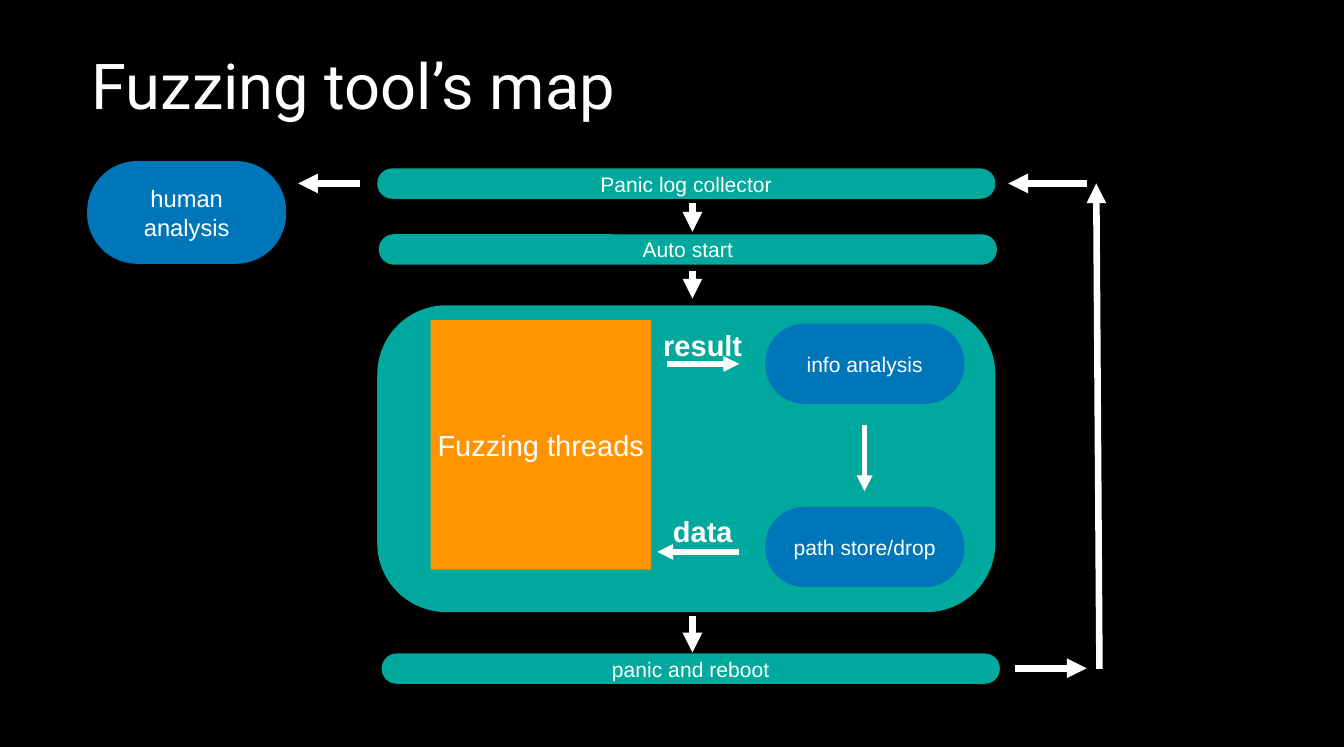
from typing import NamedTuple

from lxml import etree
from pptx import Presentation
from pptx.dml.color import RGBColor
from pptx.enum import shapes, text
from pptx.oxml import ns
from pptx.util import Pt

COLORS = {"black": "000000", "white": "FFFFFF", "teal": "00A89D",
          "blue": "0076BA", "orange": "FF9300"}
PILL = 0.489  # corner ratio of the pill-shaped boxes


class Box(NamedTuple):
    label: str
    x: float
    y: float
    w: float
    h: float
    color: str
    size: float = 8
    corner: float = PILL


class Arrow(NamedTuple):
    x1: float
    y1: float
    x2: float
    y2: float
    width: float = 2.5


def rgb(name: str) -> RGBColor:
    return RGBColor.from_string(COLORS[name])


def write(sp, words: str, *, size: float, font: str = "Arial", bold: bool = False,
          align=text.PP_ALIGN.CENTER, wrap: bool = True) -> None:
    tf = sp.text_frame
    tf.word_wrap = wrap
    tf.auto_size = text.MSO_AUTO_SIZE.NONE
    tf.vertical_anchor = text.MSO_ANCHOR.MIDDLE
    tf.margin_left = tf.margin_right = Pt(2)
    tf.margin_top = tf.margin_bottom = Pt(1.5)
    p = tf.paragraphs[0]
    p.alignment = align
    r = p.add_run()
    r.text = words
    r.font.name, r.font.size, r.font.bold = font, Pt(size), bold
    r.font.color.rgb = rgb("white")


def draw_box(s, box: Box) -> None:
    kind = shapes.MSO_SHAPE.ROUNDED_RECTANGLE if box.corner else shapes.MSO_SHAPE.RECTANGLE
    sp = s.shapes.add_shape(kind, Pt(box.x), Pt(box.y), Pt(box.w), Pt(box.h))
    if box.corner:
        sp.adjustments[0] = box.corner
    sp.shadow.inherit = False
    sp.fill.solid()
    sp.fill.fore_color.rgb = rgb(box.color)
    sp.line.fill.background()
    if box.label:
        write(sp, box.label, size=box.size)


def draw_arrow(s, a: Arrow) -> None:
    c = s.shapes.add_connector(shapes.MSO_CONNECTOR.STRAIGHT,
                               Pt(a.x1), Pt(a.y1), Pt(a.x2), Pt(a.y2))
    c.line.width = Pt(a.width)
    c.line.color.rgb = rgb("white")
    etree.SubElement(c.line._get_or_add_ln(), ns.qn("a:tailEnd"), type="triangle")
    etree.SubElement(c._element.spPr, ns.qn("a:effectLst"))


prs = Presentation()
prs.slide_width, prs.slide_height = Pt(510.5), Pt(283.7)
s = prs.slides.add_slide(prs.slide_layouts[5])
s.background.fill.solid()
s.background.fill.fore_color.rgb = rgb("black")

# Title
title = s.shapes.title
title.left, title.top, title.width, title.height = Pt(32.8), Pt(15.8), Pt(206), Pt(32.4)
write(title, "Fuzzing tool’s map", size=24, font="Roboto",
      align=text.PP_ALIGN.LEFT, wrap=False)

# Stages of the loop, with the fuzzer in the large panel
BAR_W, BAR_H = 234.8, 11.5
PILL_X, PILL_W, PILL_H = 290.7, 75.6, 30.5
BOXES = [
    Box("human analysis", 33.1, 61.2, PILL_W, 39, "blue", 9),
    Box("Panic log collector", 143.3, 64, BAR_W, BAR_H, "teal"),
    Box("Auto start", 143.9, 89, BAR_W, BAR_H, "teal"),
    Box("", 143.3, 116, BAR_W, 116.5, "teal", corner=0.225),
    Box("Fuzzing threads", 163.6, 121.6, 83.8, 94.7, "orange", 11, 0),
    Box("info analysis", PILL_X, 122.9, PILL_W, PILL_H, "blue"),
    Box("path store/drop", PILL_X, 192.5, PILL_W, PILL_H, "blue"),
    Box("panic and reboot", 145, 248.2, BAR_W, BAR_H, "teal"),
]
for box in BOXES:
    draw_box(s, box)

# Flow between the stages
MID_X, TOP_Y, BOTTOM_Y, TURN_X = 263, 69.7, 253.8, 412.7
ARROWS = [
    Arrow(MID_X, 77.3, MID_X, 88),
    Arrow(MID_X, 102.9, MID_X, 113.4),
    Arrow(MID_X, 234, MID_X, 247.8),
    Arrow(385.4, BOTTOM_Y, TURN_X, BOTTOM_Y),
    Arrow(417.6, 254, 416.4, TOP_Y),
    Arrow(TURN_X, TOP_Y, 383, TOP_Y),
    Arrow(136.8, TOP_Y, 113.3, TOP_Y),
    # Inside the panel
    Arrow(253.4, 138.2, 280.8, 138.2, 2),
    Arrow(328.4, 161.4, 328.4, 186.6, 2),
    Arrow(280.8, 209.6, 249.7, 209.6, 2),
]
for arrow in ARROWS:
    draw_arrow(s, arrow)

# Labels of the exchange
for label, y in (("result", 122.6), ("data", 193.2)):
    sp = s.shapes.add_textbox(Pt(239.6), Pt(y), Pt(54.7), Pt(16.6))
    write(sp, label, size=11, bold=True)

prs.save("out.pptx")
